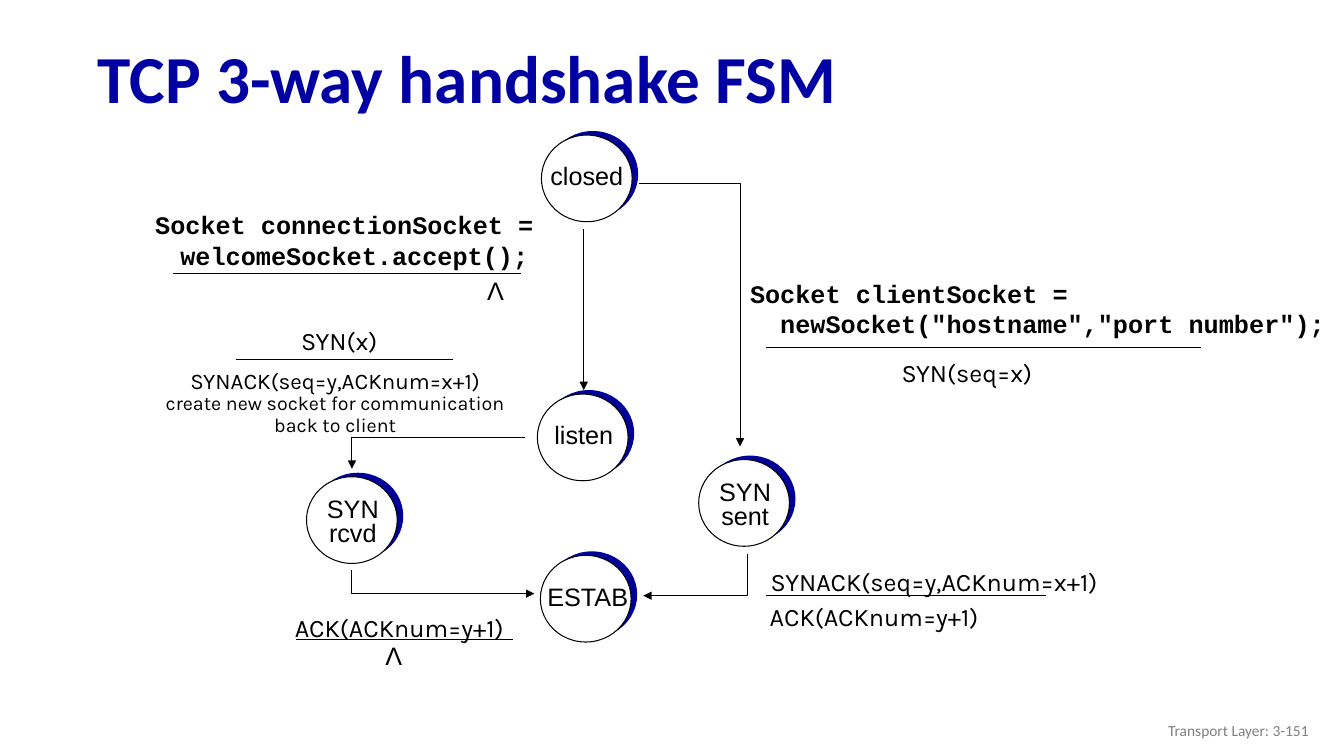
import pptx
import pptx.dml.color
import pptx.enum.shapes
import pptx.enum.text
import pptx.oxml
import pptx.oxml.ns
import pptx.util

Inches = pptx.util.Inches
Pt = pptx.util.Pt
RGBColor = pptx.dml.color.RGBColor
PP_ALIGN = pptx.enum.text.PP_ALIGN
MSO_ANCHOR = pptx.enum.text.MSO_ANCHOR
MSO_SHAPE = pptx.enum.shapes.MSO_SHAPE

COLORS = {"title": "0000A3", "shade": "000099", "state": "FFFFFF", "ink": "000000", "footer": "808080"}


def add_text(box, lines, font="Arial", sizes=(18,), color="ink", bold=False,
             align=PP_ALIGN.CENTER, spacing=1.0, wrap=False, hanging=0):
    """Put each line in its own paragraph; the last size serves all further lines."""
    text_box = slide.shapes.add_textbox(*map(Inches, box))
    frame = text_box.text_frame
    frame.word_wrap = wrap
    for index, line in enumerate(lines):
        paragraph = frame.paragraphs[0] if index == 0 else frame.add_paragraph()
        paragraph.text = line
        paragraph.alignment = align
        paragraph.line_spacing = spacing
        if hanging:
            properties = paragraph._p.get_or_add_pPr()
            properties.set("marL", str(Inches(hanging)))
            properties.set("indent", str(-Inches(hanging)))
        paragraph.font.name = font
        paragraph.font.size = Pt(sizes[min(index, len(sizes) - 1)])
        paragraph.font.bold = bold
        paragraph.font.color.rgb = RGBColor.from_string(COLORS[color])
    return frame


def style_line(shape, arrow):
    """Thin black line without shadow, with an arrowhead at its end if wanted."""
    shape.line.width = Pt(0.75)
    shape.line.color.rgb = RGBColor.from_string(COLORS["ink"])
    if arrow:
        head = pptx.oxml.parse_xml(
            '<a:tailEnd xmlns:a="http://schemas.openxmlformats.org/drawingml/2006/main" type="triangle"/>')
        shape.line._get_or_add_ln().append(head)
    properties = shape._element.spPr
    if properties.find(pptx.oxml.ns.qn("a:effectLst")) is None:
        properties.append(pptx.oxml.parse_xml(
            '<a:effectLst xmlns:a="http://schemas.openxmlformats.org/drawingml/2006/main"/>'))


presentation = pptx.Presentation()
presentation.slide_width = Inches(13.33)
presentation.slide_height = Inches(7.5)
slide = presentation.slides.add_slide(presentation.slide_layouts[5])

title = slide.shapes.title
title.left, title.top, title.width, title.height = map(Inches, (0.87, 0.32, 12.46, 0.98))
title.text_frame.text = "TCP 3-way handshake FSM"
title.text_frame.vertical_anchor = MSO_ANCHOR.MIDDLE
title_paragraph = title.text_frame.paragraphs[0]
title_paragraph.alignment = PP_ALIGN.LEFT
title_paragraph.line_spacing = 0.9
title_paragraph.font.name = "Calibri"
title_paragraph.font.size = Pt(48)
title_paragraph.font.bold = True
title_paragraph.font.color.rgb = RGBColor.from_string(COLORS["title"])

footer = add_text((10.08, 7.05, 3, 0.4), ["Transport Layer: 3-151"], "Calibri", (11,),
                  "footer", align=PP_ALIGN.RIGHT, wrap=True)
footer.vertical_anchor = MSO_ANCHOR.MIDDLE

# States: circle corner, label box, label lines, line spacing
states = [
    (5.37, 1.34, (5.32, 1.54, 1, 0.4), ["closed"], 1.0),
    (5.33, 3.91, (5.29, 4.11, 1, 0.4), ["listen"], 1.0),
    (3.04, 4.73, (3, 4.9, 1, 0.58), ["SYN", "rcvd"], 0.8),
    (6.93, 4.56, (6.89, 4.73, 1, 0.58), ["SYN", "sent"], 0.8),
    (5.36, 5.51, (5.28, 5.78, 1.1, 0.34), ["ESTAB"], 0.8),
]
for left, top, label_box, label, spacing in states:
    for offset_x, offset_y, fill in ((0.06, -0.04, "shade"), (0, 0, "state")):
        circle = slide.shapes.add_shape(MSO_SHAPE.OVAL, Inches(left + offset_x), Inches(top + offset_y),
                                        Inches(0.9), Inches(0.86))
        circle.shadow.inherit = False
        circle.fill.solid()
        circle.fill.fore_color.rgb = RGBColor.from_string(COLORS[fill])
        if fill == "shade":
            circle.line.fill.background()
        else:
            style_line(circle, arrow=False)
    add_text(label_box, label, spacing=spacing)

# Bent transitions, each running towards its arrowhead
transitions = [
    [(6.34, 1.82), (7.34, 1.82), (7.34, 4.43)],
    [(5.21, 4.34), (3.49, 4.34), (3.49, 4.65)],
    [(3.49, 5.66), (3.49, 5.89), (5.3, 5.89)],
    [(7.41, 5.5), (7.41, 5.91), (6.38, 5.91)],
]
for points in transitions:
    start, *bends = [(Inches(x), Inches(y)) for x, y in points]
    builder = slide.shapes.build_freeform(*start)
    builder.add_line_segments(bends, close=False)
    transition = builder.convert_to_shape()
    transition.fill.background()
    style_line(transition, arrow=True)

# The straight transition, then the rules between event and action
straight_lines = [
    (5.79, 2.27, 5.79, 3.87, True),
    (7.6, 3.45, 11.91, 3.45, False),
    (1.72, 2.71, 5.17, 2.71, False),
    (2.34, 3.57, 4.49, 3.57, False),
    (7.6, 5.91, 10.37, 5.91, False),
    (2.94, 6.34, 5.09, 6.34, False),
]
for *ends, arrow in straight_lines:
    connector = slide.shapes.add_connector(pptx.enum.shapes.MSO_CONNECTOR.STRAIGHT, *map(Inches, ends))
    style_line(connector, arrow)

code_blocks = [
    ((7.34, 2.71, 5.99, 0.71), ["Socket clientSocket =", '  newSocket("hostname","port number");']),
    ((1.44, 2.03, 4.58, 0.71), ["Socket connectionSocket = welcomeSocket.accept();"]),
]
for box, code in code_blocks:
    add_text(box, code, "Courier New", bold=True, align=PP_ALIGN.LEFT, wrap=True, hanging=0.25)

messages = [
    ((8.82, 3.5, 1.54, 0.4), "SYN(seq=x)"),
    ((2.88, 3.18, 0.97, 0.4), "SYN(x)"),
    ((7.44, 5.57, 3.65, 0.4), "SYNACK(seq=y,ACKnum=x+1)"),
    ((7.46, 5.92, 2.42, 0.4), "ACK(ACKnum=y+1)"),
    ((2.75, 6.03, 2.42, 0.4), "ACK(ACKnum=y+1)"),
]
for box, message in messages:
    add_text(box, [message], "Karla")

for left, top in ((4.73, 2.68), (3.72, 6.3)):
    add_text((left, top, 0.37, 0.4), ["Λ"])

add_text((1.44, 3.62, 3.77, 0.76),
         ["SYNACK(seq=y,ACKnum=x+1)", "create new socket for communication back to client"],
         "Karla", (16, 14), spacing=0.9, wrap=True)

presentation.save("out.pptx")
